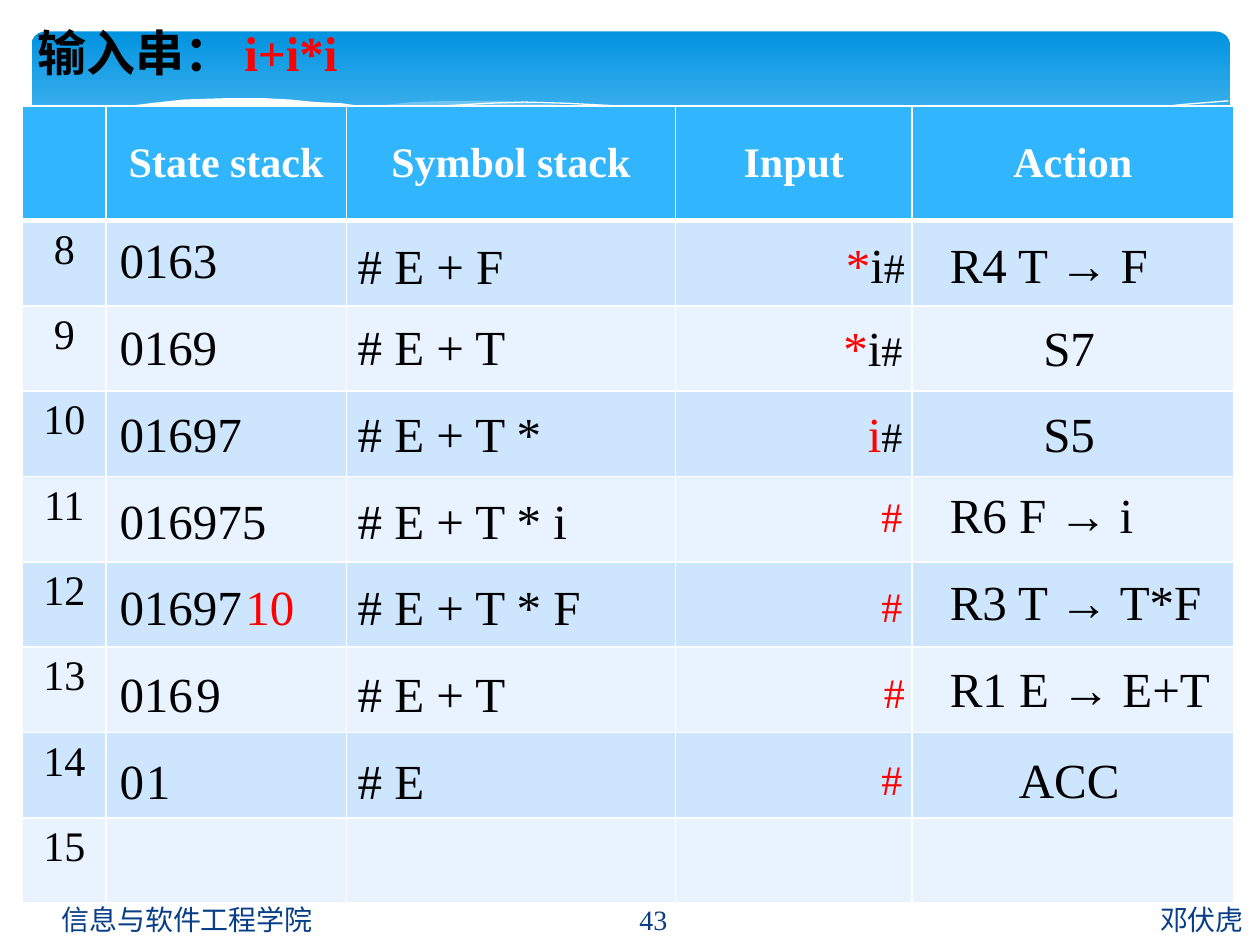
from lxml import etree
from pptx import Presentation
from pptx.dml.color import RGBColor
from pptx.enum.shapes import MSO_SHAPE
from pptx.enum.text import MSO_ANCHOR, MSO_AUTO_SIZE, PP_ALIGN
from pptx.oxml.ns import qn
from pptx.util import Inches, Pt

LEFT, CENTER, RIGHT = PP_ALIGN.LEFT, PP_ALIGN.CENTER, PP_ALIGN.RIGHT
MIDDLE = MSO_ANCHOR.MIDDLE
GROW = MSO_AUTO_SIZE.SHAPE_TO_FIT_TEXT
FONT = "Times New Roman"

BLACK = RGBColor(0x00, 0x00, 0x00)
WHITE = RGBColor(0xFF, 0xFF, 0xFF)
RED = RGBColor(0xFF, 0x00, 0x00)
NAVY = RGBColor(0x07, 0x3E, 0x87)
HEADER_BLUE = RGBColor(0x31, 0xB6, 0xFD)
BAND_DARK = RGBColor(0xCE, 0xE5, 0xFE)
BAND_LIGHT = RGBColor(0xE8, 0xF3, 0xFF)
SKY_TOP = RGBColor(0x02, 0x93, 0xE0)
SKY_BOTTOM = RGBColor(0x83, 0xD3, 0xFE)
WAVE_BLUE = RGBColor(0xC6, 0xE7, 0xFC)


def write(tf, runs, align=LEFT, bold=False):
    """Fill the first paragraph with (text, size, colour) runs."""
    p = tf.paragraphs[0]
    p.alignment = align
    for text, size, color in runs:
        r = p.add_run()
        r.text = text
        r.font.name = FONT
        r.font.size = Pt(size)
        r.font.bold = bold
        r.font.color.rgb = color


def add_text(left, top, width, height, runs, align=LEFT, bold=False):
    box = s.shapes.add_textbox(Inches(left), Inches(top), Inches(width), Inches(height))
    tf = box.text_frame
    tf.word_wrap = True
    write(tf, runs, align, bold)
    return tf


prs = Presentation()
prs.slide_width, prs.slide_height = Inches(10), Inches(7.5)
s = prs.slides.add_slide(prs.slide_layouts[6])

# Banner with waves
banner = s.shapes.add_shape(MSO_SHAPE.ROUNDED_RECTANGLE, Inches(0.25), Inches(0.25),
                            Inches(9.51), Inches(1.56))
banner.adjustments[0] = 0.07
banner.shadow.inherit = False
banner.line.fill.background()
banner.fill.gradient()
banner.fill.gradient_angle = 270
for stop, position, color in zip(banner.fill.gradient_stops, (0, 0.9), (SKY_TOP, SKY_BOTTOM)):
    stop.position = position
    stop.color.rgb = color

# (points, fill, opacity in percent); a wave without fill is a white hairline
waves = [
    ([(9.76, 0.94), (9.21, 1.04), (8.61, 1.18), (7.53, 1.43), (6.61, 1.6), (7.19, 1.67),
      (7.81, 1.72), (8.35, 1.72), (8.81, 1.67), (9.28, 1.58), (9.76, 1.41)], WAVE_BLUE, 29),
    ([(8.93, 1.67), (8.07, 1.54), (7.06, 1.34), (6.29, 1.16), (5.55, 1), (5.02, 0.9),
      (4.65, 0.86), (4.42, 0.83), (4.2, 0.82), (3.99, 0.8), (3.61, 0.8), (3.28, 0.81),
      (2.99, 0.84), (2.86, 0.86), (3.42, 0.94), (4.49, 1.16), (5.66, 1.43), (6.65, 1.61),
      (7.48, 1.7), (8.18, 1.73), (8.93, 1.67)], WAVE_BLUE, 40),
    ([(3.09, 0.9), (3.28, 0.86), (3.53, 0.84), (3.87, 0.82), (4.16, 0.81), (4.5, 0.82),
      (4.89, 0.84), (5.33, 0.88), (6.08, 0.98), (6.95, 1.14), (7.95, 1.36), (9.07, 1.66)],
     None, 100),
    ([(6.13, 1.51), (6.95, 1.3), (7.76, 1.11), (8.36, 0.99), (8.81, 0.91), (9.1, 0.86),
      (9.38, 0.83), (9.75, 0.8)], None, 100),
    ([(9.77, 1.41), (9.3, 1.57), (8.75, 1.67), (8.09, 1.71), (7.26, 1.67), (6.26, 1.53),
      (5.29, 1.33), (4.47, 1.14), (3.65, 0.96), (3.16, 0.88), (2.92, 0.85), (2.71, 0.82),
      (2.5, 0.81), (2.3, 0.79), (2.11, 0.78), (1.77, 0.78), (1.46, 0.79), (1.19, 0.82),
      (0.95, 0.85), (0.67, 0.91), (0.46, 0.98), (0.23, 1.07), (0.23, 2.24), (9.77, 2.24)],
     WHITE, 100),
]
for points, color, opacity in waves:
    points = [(Inches(x), Inches(y)) for x, y in points]
    builder = s.shapes.build_freeform(*points[0])
    builder.add_line_segments(points[1:], close=color is not None)
    wave = builder.convert_to_shape()
    wave.shadow.inherit = False
    if color is None:
        wave.fill.background()
        wave.line.color.rgb = WHITE
        wave.line.width = Pt(0)
        continue
    wave.line.fill.background()
    wave.fill.solid()
    wave.fill.fore_color.rgb = color
    if opacity < 100:
        srgb = next(wave.element.iter(qn("a:srgbClr")))
        etree.SubElement(srgb, qn("a:alpha"), val=str(opacity * 1000))

# Footer
for left, width, text, align in [(5.83, 4.14, "邓伏虎", RIGHT),
                                 (0.39, 4.14, "信息与软件工程学院", LEFT),
                                 (4.55, 1.27, "43", CENTER)]:
    tf = add_text(left, 7.1, width, 0.4, [(text, 16, NAVY)], align)
    tf.vertical_anchor = MIDDLE

# Table: header row and step numbers
HEADERS = ["", "State stack", "Symbol stack", "Input", "Action"]
STEPS = range(8, 16)
HEADER_HEIGHT, TABLE_HEIGHT = 0.91, 6.33
table = s.shapes.add_table(len(STEPS) + 1, len(HEADERS), Inches(0.18), Inches(0.84),
                           Inches(9.61), Inches(TABLE_HEIGHT)).table
for col, width in zip(table.columns, (0.66, 1.91, 2.61, 1.88, 2.55)):
    col.width = Inches(width)
for i, row in enumerate(table.rows):
    row.height = Inches((TABLE_HEIGHT - HEADER_HEIGHT) / len(STEPS) if i else HEADER_HEIGHT)
    for j, cell in enumerate(row.cells):
        tcPr = cell._tc.get_or_add_tcPr()
        for side in ("lnL", "lnR", "lnT", "lnB"):
            thick = (i == 0 and side == "lnB") or (i == 1 and side == "lnT")
            ln = etree.SubElement(tcPr, qn(f"a:{side}"), w=str(Pt(3 if thick else 1)))
            fill = etree.SubElement(ln, qn("a:solidFill"))
            etree.SubElement(fill, qn("a:srgbClr"), val=str(WHITE))
        cell.fill.solid()
        if i == 0:
            cell.fill.fore_color.rgb = HEADER_BLUE
            cell.vertical_anchor = MIDDLE
            if HEADERS[j]:
                write(cell.text_frame, [(HEADERS[j], 24, WHITE)], CENTER, bold=True)
        else:
            cell.fill.fore_color.rgb = BAND_DARK if i % 2 else BAND_LIGHT
            if j == 0:
                write(cell.text_frame, [(str(STEPS[i - 1]), 24, BLACK)], CENTER)

# Title
tf = add_text(0.2, 0.13, 3.37, 0.57, [("输入串： ", 28, BLACK), ("i+i*i", 28, RED)], bold=True)
tf.auto_size = GROW

# Stack contents, remaining input and actions: (left, top, width, runs, align)
tops = [1.77 + 0.69 * i for i in range(7)]
entries = []
for top, state in zip(tops, ["0163", "016", "01697", "016975", "01697", "016", "0"]):
    entries.append((0.85, top, 1.71, [(state, 28, BLACK)], LEFT))
for left, i, state, color in [(1.43, 1, "9", BLACK), (1.85, 4, "10", RED),
                              (1.46, 5, "9", BLACK), (1.06, 6, "1", BLACK)]:
    entries.append((left, tops[i], 1.1, [(state, 28, color)], LEFT))
for top, symbols in zip([1.82] + tops[1:], ["# E + F", "# E + T", "# E + T *", "# E + T * i",
                                            "# E + T * F", "# E + T", "# E"]):
    entries.append((2.74, top, 2.49, [(symbols, 28, BLACK)], LEFT))

star, i_black, i_red = ("*", 28, RED), ("i", 28, BLACK), ("i", 28, RED)
end_black, end_red = ("#", 24, BLACK), ("#", 24, RED)
for left, top, runs in [(5.71, 1.81, [star, i_black, end_black]),
                        (5.69, 2.47, [star, i_black, end_black]),
                        (5.69, 3.15, [i_red, end_black]),
                        (5.69, 3.84, [end_red]), (5.69, 4.56, [end_red]),
                        (5.71, 5.24, [end_red]), (5.69, 5.93, [end_red])]:
    entries.append((left, top, 1.57, runs, RIGHT))

for left, top, width, action, align in [(7.44, 1.81, 2.4, "R4 T → F", LEFT),
                                        (8.11, 2.47, 0.75, "S7", CENTER),
                                        (8.11, 3.15, 0.75, "S5", CENTER),
                                        (7.44, 3.8, 2.4, "R6 F → i", LEFT),
                                        (7.44, 4.49, 2.4, "R3 T → T*F", LEFT),
                                        (7.44, 5.18, 2.41, "R1 E → E+T", LEFT),
                                        (7.28, 5.9, 2.41, "ACC", CENTER)]:
    entries.append((left, top, width, [(action, 28, BLACK)], align))

for left, top, width, runs, align in entries:
    height = 0.57 if runs[0][1] == 28 else 0.5
    add_text(left, top, width, height, runs, align).auto_size = GROW

prs.save("out.pptx")
